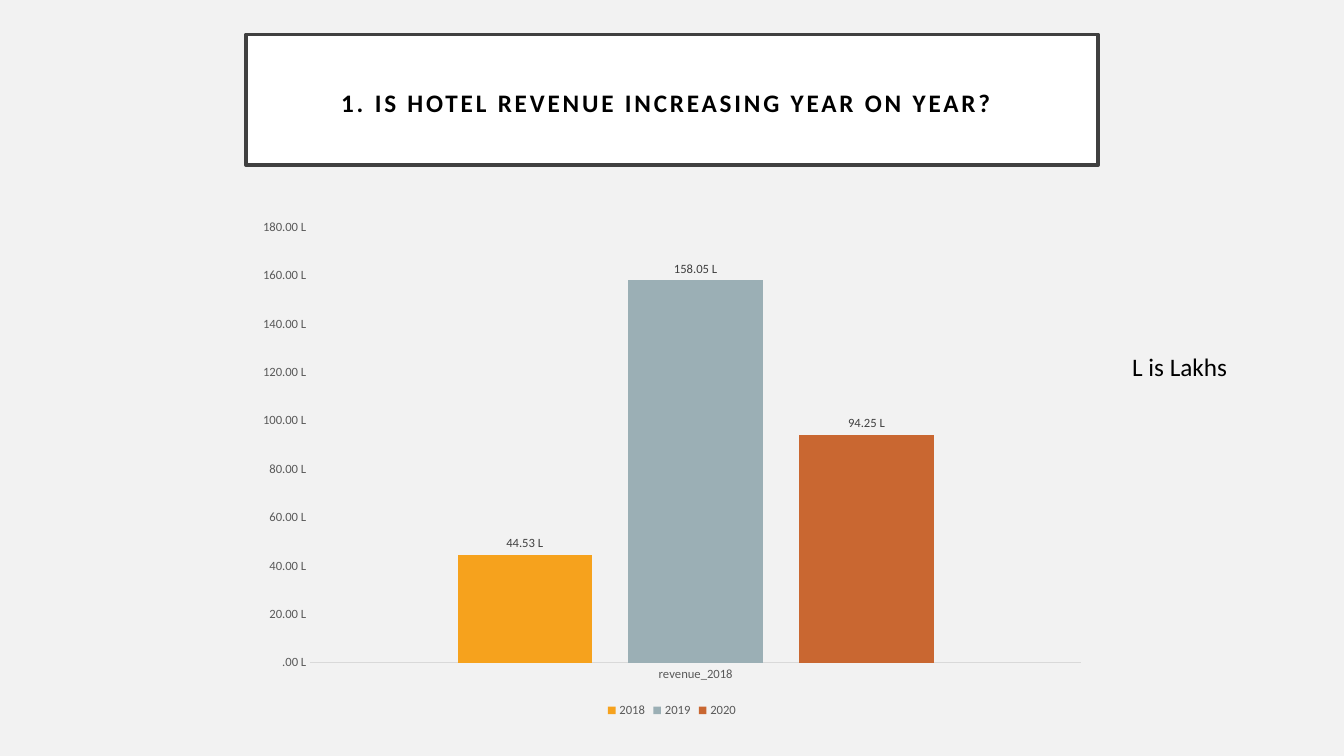
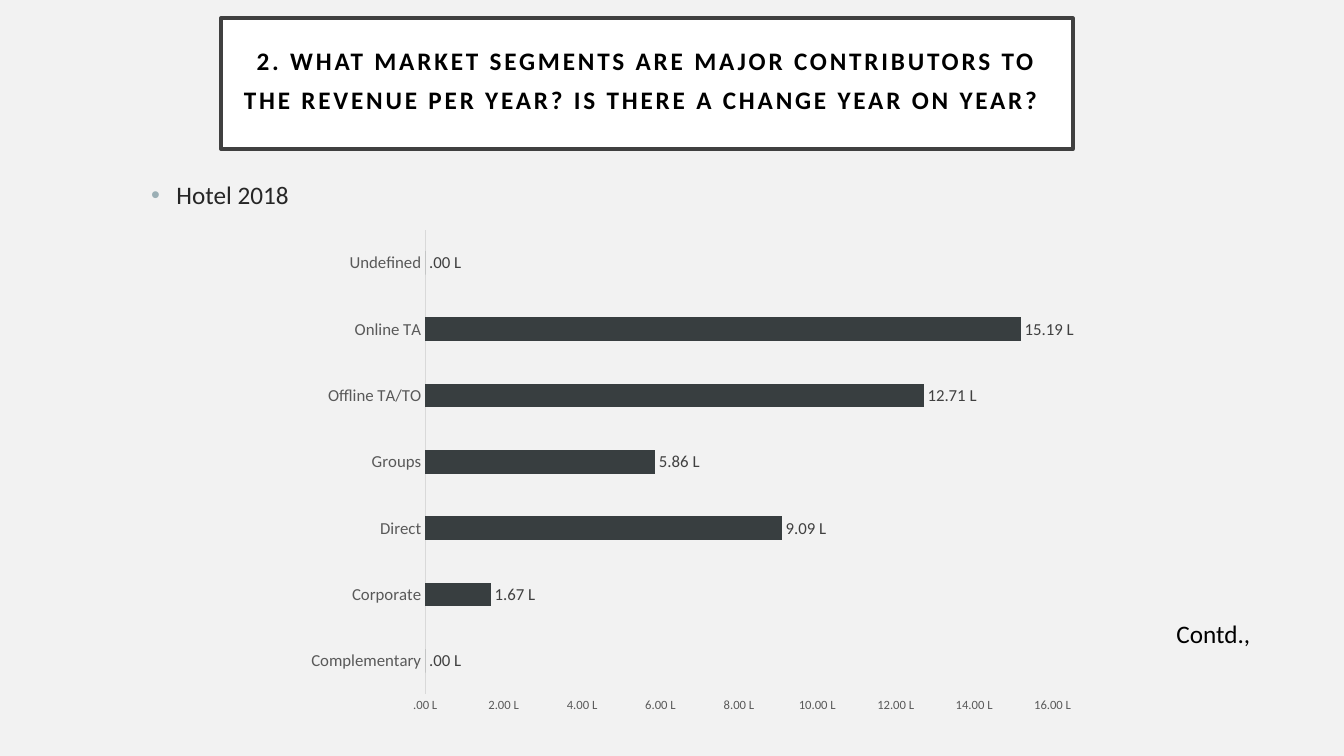
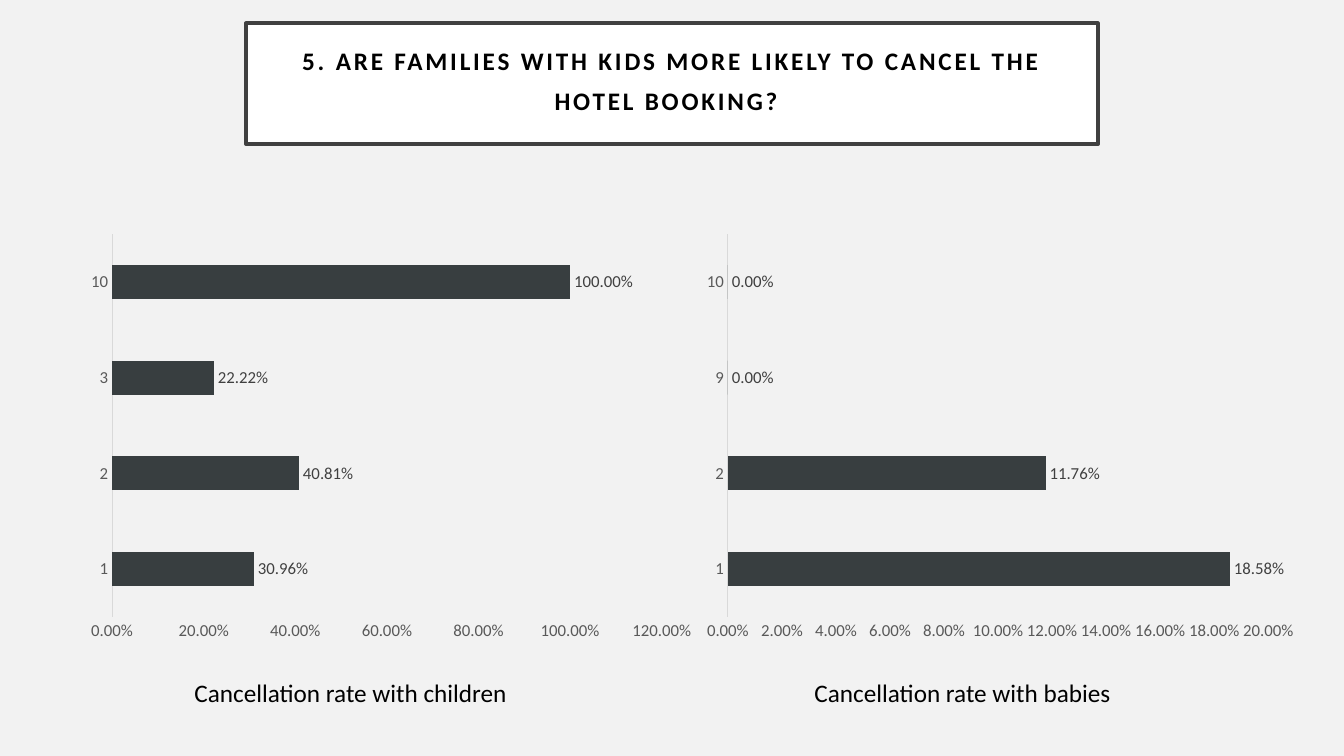
import pptx
import pptx.chart.data
import pptx.dml.color
import pptx.enum.chart
import pptx.enum.text
import pptx.oxml
import pptx.oxml.ns
import pptx.util

COLORS = {
    "page": "F2F2F2", "panel": "FFFFFF", "frame": "404040", "ink": "000000",
    "body": "262626", "axis_text": "595959", "axis_line": "D9D9D9",
    "label": "404040", "gold": "F6A21D", "mist": "9BAFB5", "rust": "C96731",
    "slate": "383E40",
}
FONT = "Calibri"
WIDTH, HEIGHT = pptx.util.Inches(13.33), pptx.util.Inches(7.5)
TITLE_WIDTH, TITLE_HEIGHT, TITLE_LEFT = 63.4, 17.33, 18.3
LINE_HEIGHT = 5.33
LAKHS = '#\\.00," L"'
PERCENT = "0.00%"
COLUMN = pptx.enum.chart.XL_CHART_TYPE.COLUMN_CLUSTERED
BAR = pptx.enum.chart.XL_CHART_TYPE.BAR_CLUSTERED


def rgb(name):
    return pptx.dml.color.RGBColor.from_string(COLORS[name])


def area(left, top, width, height):
    return (int(WIDTH * left / 100), int(HEIGHT * top / 100),
            int(WIDTH * width / 100), int(HEIGHT * height / 100))


def place(shape, box):
    shape.left, shape.top, shape.width, shape.height = area(*box)


def style_font(font, size, color, bold=False):
    font.name = FONT
    font.size = pptx.util.Pt(size)
    font.bold = bold
    font.color.rgb = rgb(color)


def add_run(p, text, size, color, bold=False):
    r = p.add_run()
    r.text = text
    style_font(r.font, size, color, bold)
    return r


def add_slide(prs, layout, text, box):
    s = prs.slides.add_slide(prs.slide_layouts.get_by_name(layout))
    title = s.shapes.title
    place(title, box)
    title.fill.solid()
    title.fill.fore_color.rgb = rgb("panel")
    title.line.color.rgb = rgb("frame")
    title.line.width = pptx.util.Pt(2.5)
    tf = title.text_frame
    tf.word_wrap = True
    tf.auto_size = pptx.enum.text.MSO_AUTO_SIZE.NONE
    tf.vertical_anchor = pptx.enum.text.MSO_ANCHOR.MIDDLE
    inset = pptx.util.Inches(0.2)
    tf.margin_left = tf.margin_right = tf.margin_top = tf.margin_bottom = inset
    p = tf.paragraphs[0]
    p.alignment = pptx.enum.text.PP_ALIGN.CENTER
    p.line_spacing = 0.9
    r = add_run(p, text, 18, "ink", True)
    r.font._element.set("spc", "200")
    add_run(p, " ", 28, "body")
    return s


def add_bullet(s, text, box):
    body = s.placeholders[1]
    place(body, box)
    tf = body.text_frame
    tf.auto_size = pptx.enum.text.MSO_AUTO_SIZE.NONE
    p = tf.paragraphs[0]
    p.space_before = pptx.util.Pt(10)
    pPr = p._p.get_or_add_pPr()
    indent = pptx.util.Inches(0.25)
    pPr.set("marL", str(indent))
    pPr.set("indent", str(-indent))
    ns = pptx.oxml.ns.nsdecls("a")
    for xml in (
        f'<a:buClr {ns}><a:srgbClr val="{COLORS["mist"]}"/></a:buClr>',
        f'<a:buFont {ns} typeface="Arial"/>',
        f'<a:buChar {ns} char="\u2022"/>',
    ):
        pPr.append(pptx.oxml.parse_xml(xml))
    add_run(p, text, 18, "body")


def add_note(s, text, left, top, width):
    tf = s.shapes.add_textbox(*area(left, top, width, LINE_HEIGHT)).text_frame
    tf.word_wrap = True
    tf.auto_size = pptx.enum.text.MSO_AUTO_SIZE.SHAPE_TO_FIT_TEXT
    add_run(tf.paragraphs[0], text, 18, "ink")


def style_axis(axis, size):
    axis.has_major_gridlines = False
    axis.major_tick_mark = pptx.enum.chart.XL_TICK_MARK.NONE
    axis.minor_tick_mark = pptx.enum.chart.XL_TICK_MARK.NONE
    style_font(axis.tick_labels.font, size, "axis_text")


def add_bars(s, kind, box, categories, series, number_format, gap,
             label_size=12, value_size=12):
    data = pptx.chart.data.CategoryChartData(number_format=number_format)
    data.categories = categories
    for name, values, _ in series:
        data.add_series(name, values)
    chart = s.shapes.add_chart(kind, *area(*box), data).chart
    chart.has_title = False
    chart.has_legend = False
    style_font(chart.font, 10, "ink")

    style_axis(chart.category_axis, label_size)
    line = chart.category_axis.format.line
    line.color.rgb = rgb("axis_line")
    line.width = pptx.util.Pt(0.75)
    style_axis(chart.value_axis, value_size)
    chart.value_axis.format.line.fill.background()
    chart.value_axis.tick_labels.number_format = number_format
    chart.value_axis.tick_labels.number_format_is_linked = False

    plot = chart.plots[0]
    plot.gap_width = gap
    plot.vary_by_categories = False
    for bars, (_, _, color) in zip(plot.series, series):
        bars.format.fill.solid()
        bars.format.fill.fore_color.rgb = rgb(color)
        bars.invert_if_negative = False
        labels = bars.data_labels
        labels.show_value = True
        labels.number_format = number_format
        labels.number_format_is_linked = False
        labels.position = pptx.enum.chart.XL_LABEL_POSITION.OUTSIDE_END
        style_font(labels.font, label_size, "label")
    return chart


def add_legend(chart):
    chart.has_legend = True
    chart.legend.position = pptx.enum.chart.XL_LEGEND_POSITION.BOTTOM
    chart.legend.include_in_layout = False
    style_font(chart.legend.font, 9, "axis_text")


def revenue_slide(prs):
    s = add_slide(prs, "Title Only",
                  "1. IS HOTEL REVENUE INCREASING YEAR ON YEAR?",
                  (TITLE_LEFT, 4.53, TITLE_WIDTH, TITLE_HEIGHT))
    years = [("2018", [4453000], "gold"), ("2019", [15805000], "mist"),
             ("2020", [9425000], "rust")]
    chart = add_bars(s, COLUMN, (TITLE_LEFT, 27.73, TITLE_WIDTH, 67.73),
                     ["revenue_2018"], years, LAKHS, 219, 9, 9)
    chart.plots[0].overlap = -27
    add_legend(chart)
    add_note(s, "L is Lakhs", 83.5, 45.87, 12.3)


def segments_slide(prs):
    s = add_slide(prs, "Title and Content",
                  "2. WHAT MARKET SEGMENTS ARE MAJOR CONTRIBUTORS TO THE "
                  "REVENUE PER YEAR? IS THERE A CHANGE YEAR ON YEAR?",
                  (16.43, 2.4, TITLE_WIDTH, TITLE_HEIGHT))
    add_bullet(s, "Hotel 2018", (10.5, 23.07, 13.88, 7.87))
    segments = {"Complementary": 0, "Corporate": 167000, "Direct": 909000,
                "Groups": 586000, "Offline TA/TO": 1271000,
                "Online TA": 1519000, "Undefined": 0}
    add_bars(s, BAR, (21.98, 29.07, 58.89, 66.53), list(segments),
             [("Series 1", list(segments.values()), "slate")], LAKHS, 182,
             value_size=9)
    add_note(s, "Contd.,", 86.8, 81.07, 10.13)


def cancellation_slide(prs):
    s = add_slide(prs, "Title Only",
                  "5. ARE FAMILIES WITH KIDS MORE LIKELY TO CANCEL THE "
                  "HOTEL BOOKING?",
                  (TITLE_LEFT, 3.07, TITLE_WIDTH, 16))
    groups = [
        ("children", {"1": 0.3096, "2": 0.4081, "3": 0.2222, "10": 1},
         (5.85, 46.51), (13.73, 26.11)),
        ("babies", {"1": 0.1858, "2": 0.1176, "9": 0, "10": 0},
         (51.69, 45.46), (59.86, 24.83)),
    ]
    for group, rates, (left, width), (note_left, note_width) in groups:
        add_bars(s, BAR, (left, 29.87, width, 56), list(rates),
                 [("Series 1", list(rates.values()), "slate")], PERCENT, 182)
        add_note(s, f"Cancellation rate with {group}",
                 note_left, 88.93, note_width)


def main():
    prs = pptx.Presentation()
    prs.slide_width, prs.slide_height = WIDTH, HEIGHT
    background = prs.slide_master.background.fill
    background.solid()
    background.fore_color.rgb = rgb("page")
    revenue_slide(prs)
    segments_slide(prs)
    cancellation_slide(prs)
    prs.save("out.pptx")


main()
